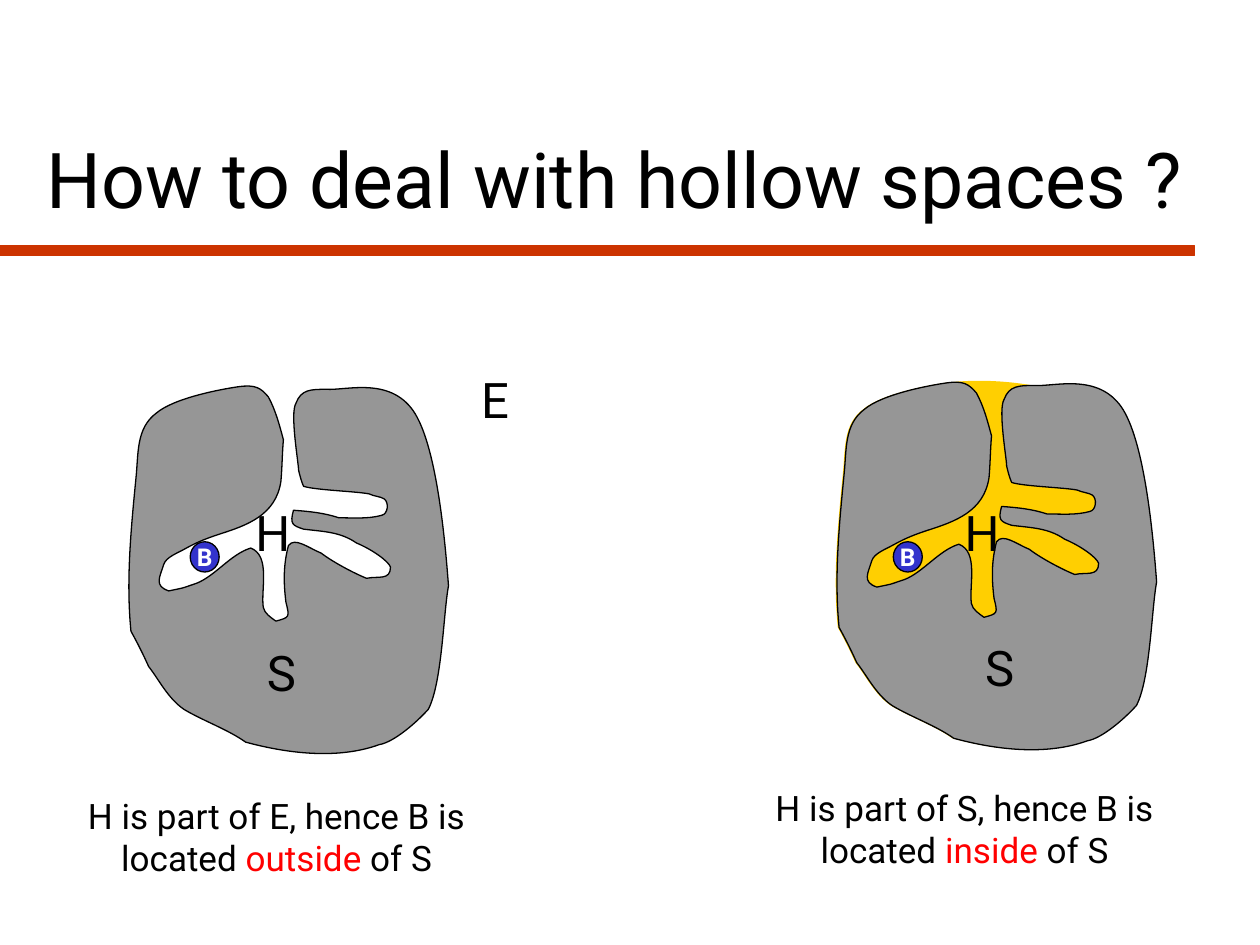
from itertools import chain

from lxml.etree import SubElement
from pptx import Presentation
from pptx.dml.color import RGBColor
from pptx.enum.shapes import MSO_SHAPE as SHAPE
from pptx.enum.text import MSO_ANCHOR as ANCHOR, MSO_AUTO_SIZE as AUTO, PP_ALIGN as ALIGN
from pptx.oxml.ns import qn
from pptx.util import Inches, Pt

FONT = "Roboto"
BLACK, WHITE, RED, RUST = "000000", "FFFFFF", "FF0000", "CC3300"
GRAY, YELLOW, BLUE = "969696", "FFCF01", "3333CC"

TITLE = "How to deal with hollow spaces ?"
LABELS = [
    ("S", 2.02, 5.05, 0.41), ("S", 7.72, 5.01, 0.41),
    ("H", 1.92, 3.94, 0.49), ("H", 7.55, 3.94, 0.49),
    ("E", 3.72, 2.88, 0.41),
]
BALLS = [(1.51, 4.3), (7.09, 4.3)]
CAPTIONS = [
    (0.53, 6.26, "H is part of E, hence B is ", "outside"),
    (5.99, 6.19, "H is part of S, hence B is ", "inside"),
]

RIM_START = (1.89, 3.07)
HOLLOW = [
    (2.03, 3.05, 2.07, 3.08, 2.13, 3.15), (2.19, 3.26, 2.22, 3.38, 2.25, 3.49),
    (2.24, 3.6, 2.24, 3.71, 2.23, 3.82), (2.19, 4.09, 1.96, 4.17, 1.74, 4.24),
    (1.65, 4.27, 1.57, 4.3, 1.48, 4.35), (1.41, 4.39, 1.32, 4.42, 1.3, 4.48),
    (1.27, 4.58, 1.22, 4.65, 1.34, 4.69), (1.48, 4.66, 1.41, 4.68, 1.56, 4.63),
    (1.71, 4.57, 1.83, 4.4, 1.99, 4.35), (2.15, 4.41, 2.07, 4.68, 2.09, 4.82),
    (2.1, 4.87, 2.15, 4.9, 2.19, 4.93), (2.3, 4.9, 2.3, 4.9, 2.27, 4.78),
    (2.25, 4.62, 2.25, 4.48, 2.29, 4.33), (2.34, 4.26, 2.45, 4.35, 2.55, 4.39),
    (2.64, 4.46, 2.81, 4.55, 2.91, 4.59), (3, 4.57, 3.1, 4.61, 3.1, 4.5),
    (3.08, 4.45, 2.95, 4.36, 2.83, 4.31), (2.7, 4.22, 2.57, 4.22, 2.41, 4.2),
    (2.32, 4.17, 2.3, 4.16, 2.33, 4.05), (2.46, 4.06, 2.57, 4.07, 2.69, 4.11),
    (2.81, 4.11, 2.92, 4.12, 3.03, 4.09), (3.08, 4.08, 3.09, 3.99, 3.05, 3.96),
    (3.02, 3.94, 2.97, 3.94, 2.93, 3.92), (2.83, 3.9, 2.5, 3.89, 2.41, 3.86),
    (2.39, 3.82, 2.37, 3.73, 2.37, 3.73), (2.37, 3.67, 2.3, 3.28, 2.35, 3.2),
    (2.39, 3.09, 2.47, 3.09, 2.59, 3.09),
]
RIM = [
    (2.75, 3.1, 3.09, 2.99, 3.28, 3.26), (3.46, 3.52, 3.53, 4.24, 3.56, 4.65),
    (3.52, 4.86, 3.51, 5.42, 3.4, 5.63), (3.31, 5.73, 3.13, 5.89, 3.01, 5.91),
    (2.68, 6.03, 2.28, 5.98, 1.95, 5.89), (1.81, 5.79, 1.61, 5.72, 1.46, 5.63),
    (1.33, 5.54, 1.26, 5.39, 1.18, 5.29), (1.14, 5.2, 1.09, 5.1, 1.04, 5.01),
    (1, 4.61, 1.04, 4.2, 1.08, 3.79), (1.1, 3.6, 1.08, 3.4, 1.24, 3.28),
    (1.38, 3.16, 1.75, 3.09, 1.89, 3.07),
]
LID = (2.11, 3.04, 2.36, 3.05, 2.59, 3.09)


def rgb(color):
    return RGBColor.from_string(color)


def paint(sp, fill, line=None):
    sp.shadow.inherit = False
    sp.fill.solid()
    sp.fill.fore_color.rgb = rgb(fill)
    if line:
        sp.line.color.rgb = rgb(line)
        sp.line.width = Pt(0.75)
    else:
        sp.line.fill.background()
    return sp


def style(p, size, color=BLACK, align=ALIGN.CENTER, bold=False):
    p.alignment = align
    p.font.name, p.font.size, p.font.bold = FONT, Pt(size), bold
    p.font.color.rgb = rgb(color)


def add_text(s, x, y, w, h, wrap=False):
    tf = s.shapes.add_textbox(Inches(x), Inches(y), Inches(w), Inches(h)).text_frame
    tf.word_wrap = wrap
    tf.auto_size = AUTO.NONE if wrap else AUTO.SHAPE_TO_FIT_TEXT
    return tf


def bend(sp):
    outline = next(sp._element.iter(qn("a:path")))
    lines = outline.findall(qn("a:lnTo"))
    close = outline.find(qn("a:close"))
    for i in range(0, len(lines), 3):
        curve = SubElement(outline, qn("a:cubicBezTo"))
        for line in lines[i:i + 3]:
            curve.append(line[0])
            outline.remove(line)
    outline.append(close)


def add_body(s, curves, dx, dy, fill, line=None):
    flat = list(chain(RIM_START, *curves))
    points = [(Inches(x + dx), Inches(y + dy)) for x, y in zip(flat[::2], flat[1::2])]
    builder = s.shapes.build_freeform(*points[0])
    builder.add_line_segments(points[1:], close=True)
    bend(paint(builder.convert_to_shape(), fill, line))


prs = Presentation()
prs.slide_width, prs.slide_height = Inches(10), Inches(7.5)
s = prs.slides.add_slide(prs.slide_layouts[6])

bar = s.shapes.add_shape(SHAPE.RECTANGLE, 0, Inches(1.95), Inches(9.48), Inches(0.08))
paint(bar, RUST, RUST)

tf = add_text(s, 0.27, 0.23, 9.51, 1.6, wrap=True)
tf.vertical_anchor = ANCHOR.BOTTOM
tf.text = TITLE
style(tf.paragraphs[0], 44, align=ALIGN.LEFT)

add_body(s, HOLLOW + RIM, 0, 0, GRAY, BLACK)
add_body(s, [LID] + RIM, 5.61, -0.03, YELLOW)
add_body(s, HOLLOW + RIM, 5.62, -0.03, GRAY, BLACK)

for x, y in BALLS:
    sp = s.shapes.add_shape(SHAPE.OVAL, Inches(x), Inches(y), Inches(0.23), Inches(0.24))
    tf = paint(sp, BLUE, BLACK).text_frame
    tf.margin_left = tf.margin_right = tf.margin_top = tf.margin_bottom = 0
    tf.vertical_anchor = ANCHOR.MIDDLE
    tf.word_wrap = False
    tf.text = "B"
    style(tf.paragraphs[0], 14, WHITE, bold=True)

for text, x, y, w in LABELS:
    tf = add_text(s, x, y, w, 0.57)
    tf.text = text
    style(tf.paragraphs[0], 28)

for x, y, first_line, place in CAPTIONS:
    p = add_text(s, x, y, 3.4, 0.77).paragraphs[0]
    style(p, 20)
    p.add_run().text = first_line
    p.add_line_break()
    for text, color in [("located ", BLACK), (place, RED), (" of S ", BLACK)]:
        r = p.add_run()
        r.text = text
        r.font.color.rgb = rgb(color)

prs.save("out.pptx")
